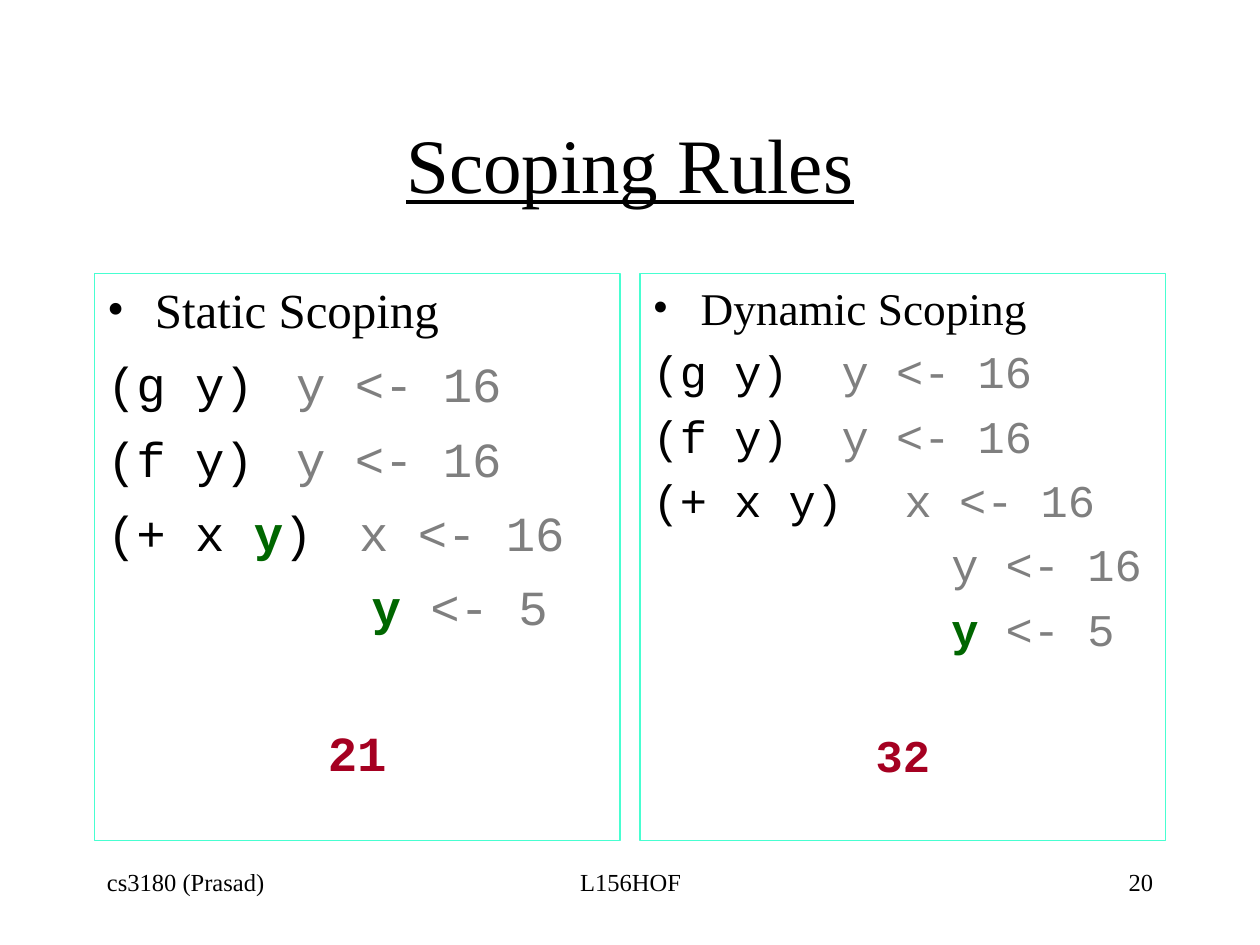
from lxml.etree import SubElement
from pptx import Presentation
from pptx.dml.color import RGBColor
from pptx.enum.text import MSO_ANCHOR, MSO_AUTO_SIZE, PP_ALIGN
from pptx.oxml.ns import qn
from pptx.util import Inches, Pt

COLORS = {"text": "000000", "frame": "47FFD1", "binding": "7F7F7F",
          "free": "006600", "result": "A50021"}
SERIF, MONO = "Times New Roman", "Courier New"
CHAR_WIDTH = 0.6
STYLES = {
    "code": {"color": "text", "bold": False},
    "binding": {"color": "binding", "bold": False},
    "free": {"color": "free", "bold": True},
    "result": {"color": "result", "bold": True},
}


def place(box, left, top, width, height):
    """Set the position and size of a box in inches."""
    values = {"left": left, "top": top, "width": width, "height": height}
    for name, value in values.items():
        setattr(box, name, Inches(value))


def add_span(para, text, color="text", **values):
    """Add a run with the given colour and font values."""
    span = para.add_run()
    span.text = text
    for name, value in values.items():
        setattr(span.font, name, value)
    span.font.color.rgb = RGBColor.from_string(COLORS[color])


def set_list_format(para, bullet=False, margin=0, tab=None):
    """Set the bullet, left margin and tab stop of a paragraph."""
    props = para._p.get_or_add_pPr()
    props.set("marL", str(Inches(margin)))
    props.set("indent", str(-Inches(margin) if bullet else 0))
    if bullet:
        SubElement(props, qn("a:buFont"), typeface=SERIF)
        SubElement(props, qn("a:buChar"), char="•")
    else:
        SubElement(props, qn("a:buNone"))
    if tab:
        stops = SubElement(props, qn("a:tabLst"))
        SubElement(stops, qn("a:tab"), pos=str(Inches(tab)), algn="l")


def fill_title(box, text):
    """Write the underlined slide title."""
    place(box, 0.75, 0.67, 8.5, 1.25)
    box.text_frame.vertical_anchor = MSO_ANCHOR.MIDDLE
    para = box.text_frame.paragraphs[0]
    para.alignment = PP_ALIGN.CENTER
    add_span(para, text, name=SERIF, size=Pt(44), underline=True)


def fill_panel(box, left, heading, lines, result, size, spacing, result_gap):
    """Write one framed scoping trace with its heading and result."""
    place(box, left, 2.17, 4.17, 4.5)
    box.line.color.rgb = RGBColor.from_string(COLORS["frame"])
    box.line.width = Pt(0.75)
    frame = box.text_frame
    frame.auto_size = MSO_AUTO_SIZE.NONE
    para = frame.paragraphs[0]
    para.space_before = Pt(7)
    set_list_format(para, bullet=True, margin=0.38)
    add_span(para, heading, name=SERIF, size=Pt(size))
    for layout, spans in lines:
        para = frame.add_paragraph()
        para.line_spacing = spacing
        para.space_before = Pt(8.8)
        columns = {key: round(count * size * CHAR_WIDTH / 72, 2)
                   for key, count in layout.items()}
        set_list_format(para, **columns)
        for text, style in spans:
            add_span(para, text, name=MONO, size=Pt(size), **STYLES[style])
    para = frame.add_paragraph()
    para.alignment = PP_ALIGN.CENTER
    para.line_spacing = spacing
    para.space_before = Pt(result_gap)
    set_list_format(para)
    add_span(para, result, name=MONO, size=Pt(size), **STYLES["result"])


def add_footer(page, left, width, text, alignment):
    """Add one footer text."""
    box = page.shapes.add_textbox(Inches(left), Inches(6.83), Inches(width), Inches(0.5))
    box.text_frame.word_wrap = True
    para = box.text_frame.paragraphs[0]
    para.alignment = alignment
    add_span(para, text, name=SERIF, size=Pt(14))


def main():
    """Build the slide and save it."""
    deck = Presentation()
    deck.slide_width, deck.slide_height = Inches(10), Inches(7.5)
    page = deck.slides.add_slide(deck.slide_layouts[3])
    title, static_box, dynamic_box = page.placeholders
    fill_title(title, "Scoping Rules")

    calls = [({"tab": 7}, [(f"({name} y)\t", "code"), ("y <- 16", "binding")])
             for name in "gf"]
    free_y = [("y ", "free"), ("<- 5", "binding")]
    static_lines = calls + [
        ({"tab": 9}, [("(+ x ", "code"), ("y", "free"), (")\t", "code"),
                      ("x <- 16", "binding")]),
        ({"margin": 9}, free_y),
    ]
    dynamic_lines = calls + [
        ({"tab": 9}, [("(+ x y)\t", "code"), ("x <- 16", "binding")]),
        ({"margin": 11}, [("y <- 16", "binding")]),
        ({"margin": 11}, free_y),
    ]
    fill_panel(static_box, 0.75, "Static Scoping", static_lines, "21", 28, 1.0, 50)
    fill_panel(dynamic_box, 5.08, "Dynamic Scoping", dynamic_lines, "32", 25.9, 0.9, 44)

    add_footer(page, 0.75, 2.08, "cs3180 (Prasad)", PP_ALIGN.LEFT)
    add_footer(page, 3.42, 3.17, "L156HOF", PP_ALIGN.CENTER)
    add_footer(page, 7.17, 2.08, "20", PP_ALIGN.RIGHT)
    deck.save("out.pptx")


if __name__ == "__main__":
    main()
